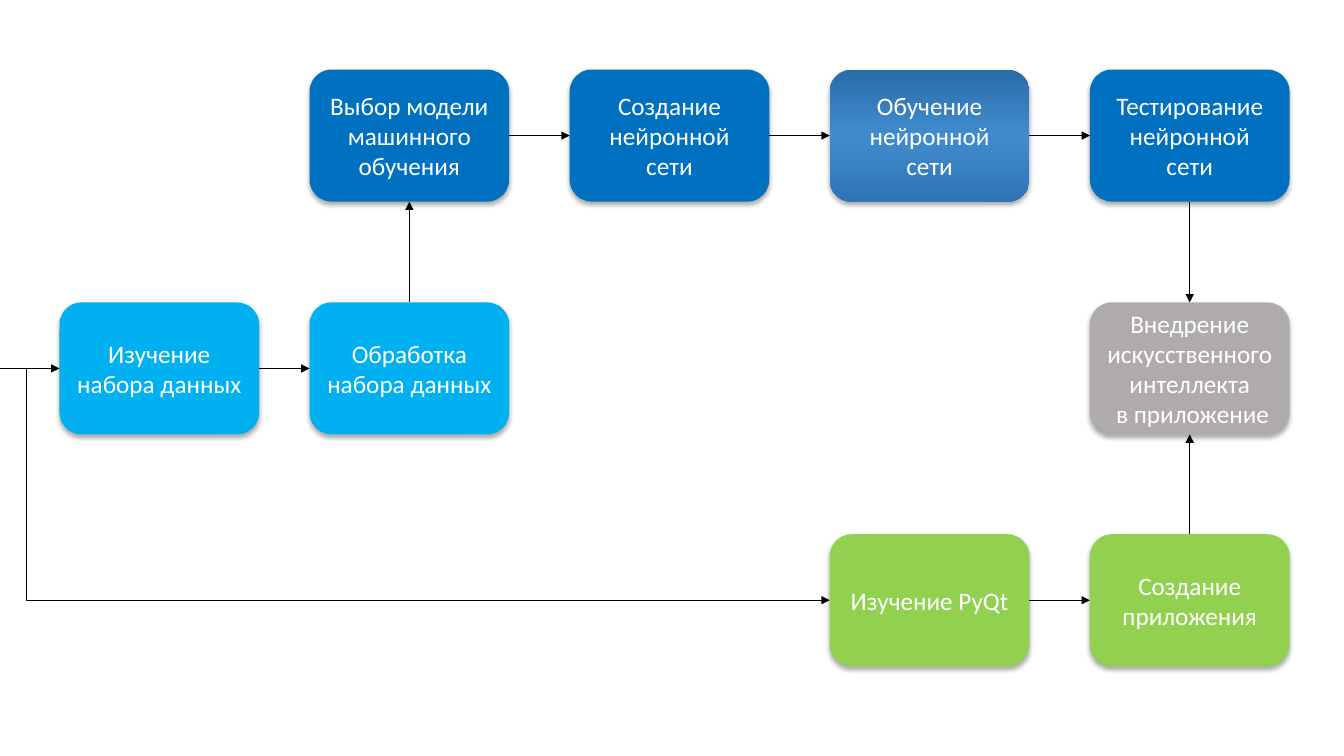
from lxml.etree import SubElement
from pptx import Presentation
from pptx.dml.color import RGBColor
from pptx.enum.shapes import MSO_CONNECTOR, MSO_SHAPE
from pptx.enum.text import MSO_ANCHOR, PP_ALIGN
from pptx.oxml.ns import qn
from pptx.util import Inches, Pt

COLORS = {
    "data": "00B0F0",
    "network": "0070C0",
    "app": "92D050",
    "integration": "AFABAB",
    "text": "FFFFFF",
    "line": "000000",
    "shadow": "000000",
    "training_top": "2B6DA9",
    "training_middle": "408BCE",
    "training_bottom": "2E75B6",
}
STEP_W, STEP_H = 1.98, 1.31
COLUMNS = [0.59, 3.07, 5.65, 8.23, 10.81]
ROWS = [0.69, 3, 5.3]
TOP, LEFT, BOTTOM, RIGHT = range(4)  # connection sites of a step

# key: (text, column, row, colour)
STEPS = {
    "study_data": ("Изучение набора данных", 0, 1, "data"),
    "process_data": ("Обработка набора данных", 1, 1, "data"),
    "choose_model": ("Выбор модели машинного обучения", 1, 0, "network"),
    "create_network": ("Создание нейронной сети", 2, 0, "network"),
    "train_network": ("Обучение нейронной сети", 3, 0, "training"),
    "test_network": ("Тестирование нейронной сети", 4, 0, "network"),
    "integrate": ("Внедрение искусственного интеллекта\n в приложение", 4, 1, "integration"),
    "study_pyqt": ("Изучение PyQt", 3, 2, "app"),
    "create_app": ("Создание приложения", 4, 2, "app"),
}
LINKS = [
    ("study_data", RIGHT, "process_data", LEFT),
    ("process_data", TOP, "choose_model", BOTTOM),
    ("choose_model", RIGHT, "create_network", LEFT),
    ("create_network", RIGHT, "train_network", LEFT),
    ("train_network", RIGHT, "test_network", LEFT),
    ("test_network", BOTTOM, "integrate", TOP),
    ("study_pyqt", RIGHT, "create_app", LEFT),
    ("create_app", TOP, "integrate", BOTTOM),
]


def rgb(name):
    return RGBColor.from_string(COLORS[name])


def add_shadow(step):
    step.shadow.inherit = False
    effects = step._element.spPr.find(qn("a:effectLst"))
    outer = SubElement(effects, qn("a:outerShdw"), blurRad=str(Pt(3.5)),
                       dist=str(Pt(2.2)), dir="5400000", algn="ctr", rotWithShape="0")
    color = SubElement(outer, qn("a:srgbClr"), val=COLORS["shadow"])
    SubElement(color, qn("a:alpha"), val="32000")


def fill_training(step):
    step.fill.gradient()
    step.fill.gradient_angle = 270
    stops = step._element.spPr.find(qn("a:gradFill")).find(qn("a:gsLst"))
    for stop in list(stops):
        stops.remove(stop)
    for percent, part in ((0, "top"), (50, "middle"), (100, "bottom")):
        stop = SubElement(stops, qn("a:gs"), pos=str(percent * 1000))
        SubElement(stop, qn("a:srgbClr"), val=COLORS[f"training_{part}"])


def add_step(slide, left, top, text, color):
    step = slide.shapes.add_shape(MSO_SHAPE.ROUNDED_RECTANGLE, Inches(left), Inches(top),
                                  Inches(STEP_W), Inches(STEP_H))
    if color == "training":
        fill_training(step)
    else:
        step.fill.solid()
        step.fill.fore_color.rgb = rgb(color)
    step.line.fill.background()
    add_shadow(step)
    frame = step.text_frame
    frame.text = text
    frame.word_wrap = True
    frame.vertical_anchor = MSO_ANCHOR.MIDDLE
    for paragraph in frame.paragraphs:
        paragraph.alignment = PP_ALIGN.CENTER
        for run in paragraph.runs:
            run.font.name = "Calibri"
            run.font.size = Pt(18)
            run.font.color.rgb = rgb("text")
    return step


def add_arrow(slide, start, end, kind=MSO_CONNECTOR.STRAIGHT):
    arrow = slide.shapes.add_connector(kind, *(Inches(v) for v in (*start, *end)))
    arrow.line.width = Pt(0.5)
    arrow.line.color.rgb = rgb("line")
    SubElement(arrow.line._get_or_add_ln(), qn("a:tailEnd"), type="triangle")
    SubElement(arrow._element.spPr, qn("a:effectLst"))
    return arrow


def add_entry(slide, left, branch_left):
    """Incoming arrow from the slide edge and its branch down to the app row."""
    data_y, app_y = (ROWS[row] + STEP_H / 2 for row in (1, 2))
    add_arrow(slide, (left, data_y), (COLUMNS[0], data_y))
    branch = add_arrow(slide, (branch_left, data_y), (COLUMNS[3], app_y), MSO_CONNECTOR.ELBOW)
    # The bend sits at the very start: straight down, then right
    guides = branch._element.spPr.find(qn("a:prstGeom")).get_or_add_avLst()
    SubElement(guides, qn("a:gd"), name="adj1", fmla="val 0")


def add_flowchart(slide, left, top):
    # Steps on the column and row grid
    steps = {key: add_step(slide, left + COLUMNS[column], top + ROWS[row], text, color)
             for key, (text, column, row, color) in STEPS.items()}
    # Arrows glued to the steps
    for source, source_site, target, target_site in LINKS:
        arrow = add_arrow(slide, (0, 0), (0, 0))
        arrow.begin_connect(steps[source], source_site)
        arrow.end_connect(steps[target], target_site)


def main():
    presentation = Presentation()
    presentation.slide_width = Inches(13.33)
    presentation.slide_height = Inches(7.5)
    slide = presentation.slides.add_slide(presentation.slide_layouts[6])
    add_flowchart(slide, 0, 0)
    add_entry(slide, 0, 0.26)
    presentation.save("out.pptx")


if __name__ == "__main__":
    main()
